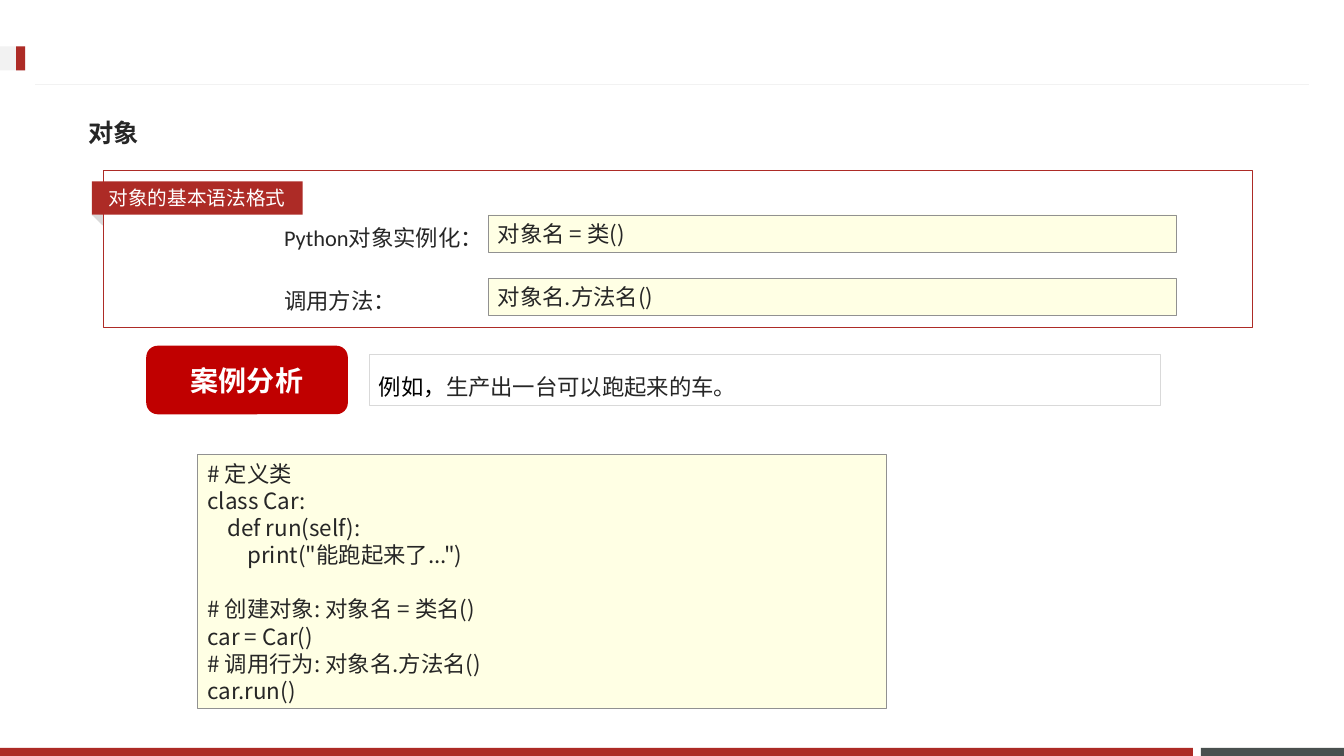
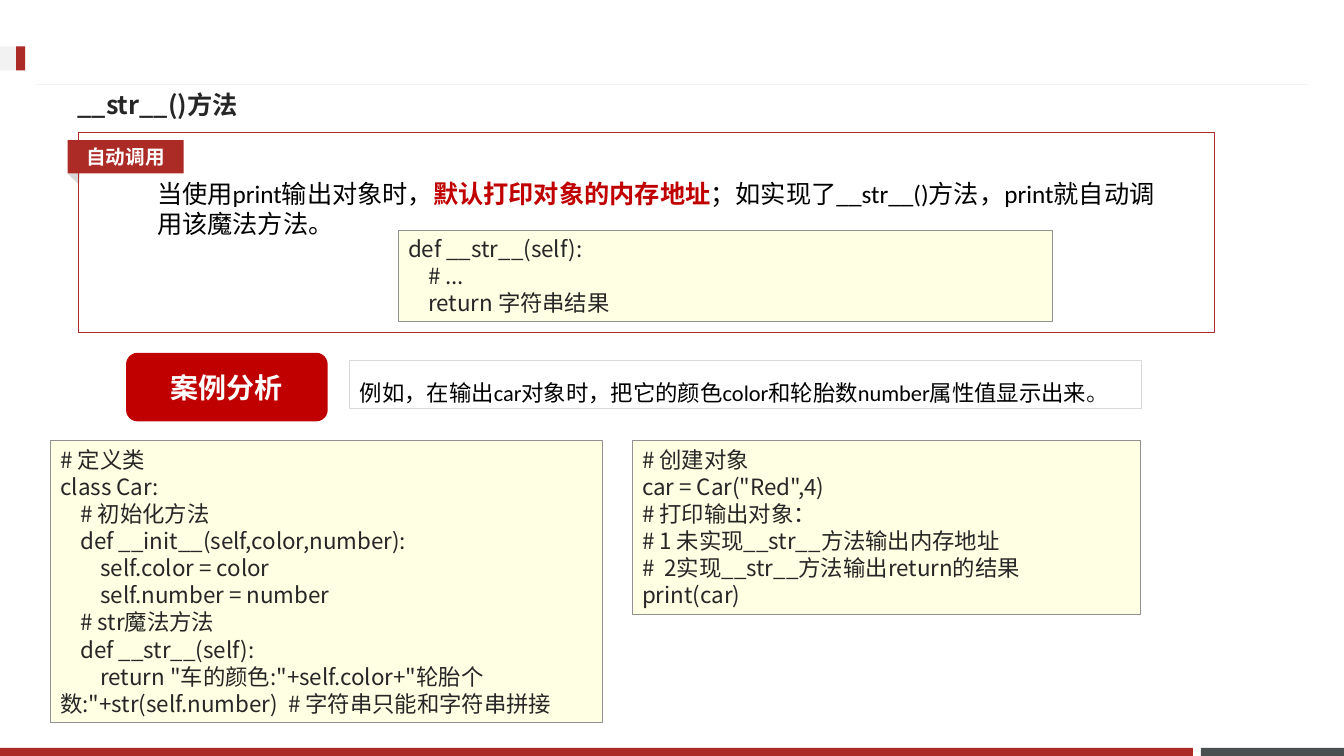
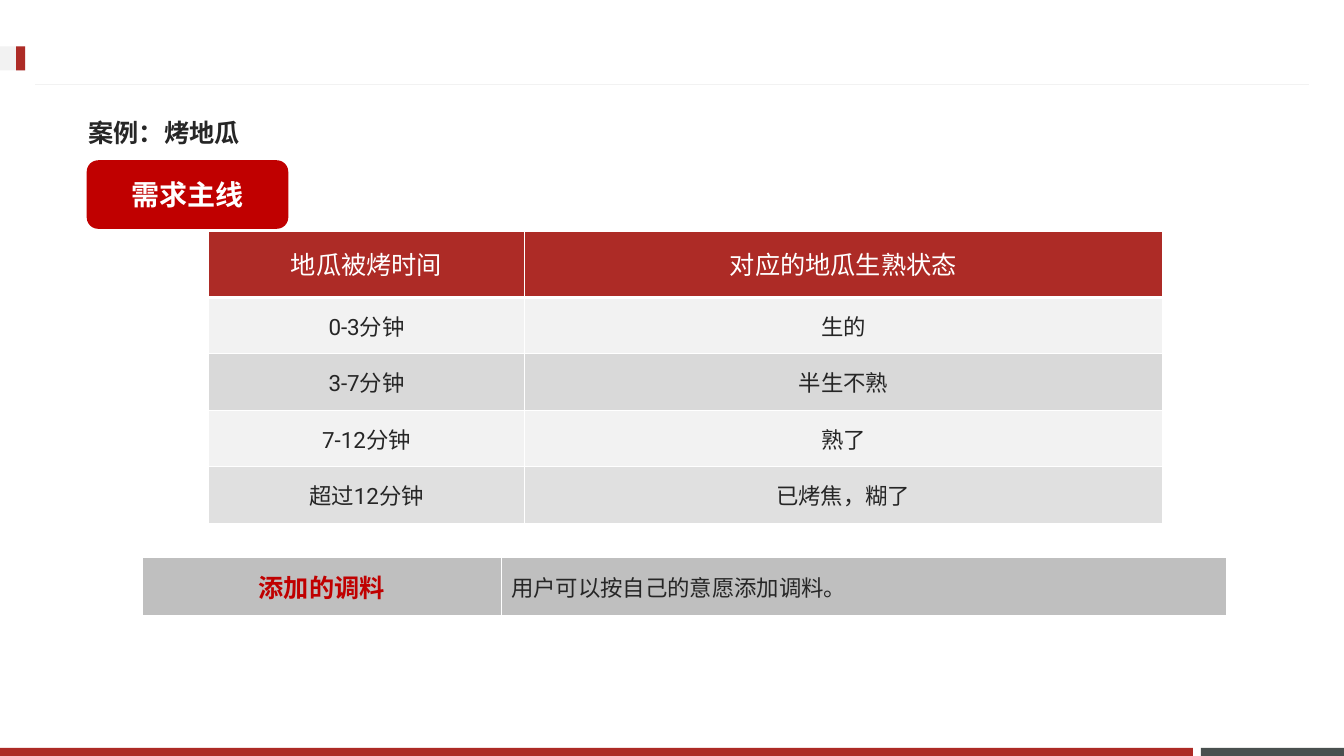
from lxml import etree
from pptx import Presentation
from pptx import util as u
from pptx.dml.color import RGBColor
from pptx.enum import shapes, text
from pptx.oxml.ns import qn

RED = RGBColor(0xAD, 0x2B, 0x26)
STRONG_RED = RGBColor(0xC0, 0x00, 0x00)
SLATE = RGBColor(0x49, 0x50, 0x4F)
INK = RGBColor(0x26, 0x26, 0x26)
BLACK = RGBColor(0x00, 0x00, 0x00)
WHITE = RGBColor(0xFF, 0xFF, 0xFF)
PALE = RGBColor(0xF2, 0xF2, 0xF2)
LIGHT = RGBColor(0xD9, 0xD9, 0xD9)
SOFT = RGBColor(0xE0, 0xE0, 0xE0)
SILVER = RGBColor(0xBF, 0xBF, 0xBF)
CREAM = RGBColor(0xFF, 0xFF, 0xE4)
GRAY = RGBColor(0x91, 0x91, 0x91)

CJK = "Noto Sans CJK JP"
RECT = shapes.MSO_SHAPE.RECTANGLE
ROUND = shapes.MSO_SHAPE.ROUNDED_RECTANGLE
TRIANGLE = shapes.MSO_SHAPE.ISOSCELES_TRIANGLE
TOP, MIDDLE = text.MSO_ANCHOR.TOP, text.MSO_ANCHOR.MIDDLE
LEFT, CENTER = text.PP_ALIGN.LEFT, text.PP_ALIGN.CENTER

prs = Presentation()
prs.slide_width = u.Inches(13.33)
prs.slide_height = u.Inches(7.5)
COL = prs.slide_width / 100
ROW = prs.slide_height / 100


def write(tf, content, size=16, font="Calibri", color=INK, bold=False,
          align=LEFT, spacing=None):
    paragraphs = content.split("\n") if isinstance(content, str) else [content]
    for i, runs in enumerate(paragraphs):
        p = tf.paragraphs[0] if i == 0 else tf.add_paragraph()
        p.alignment = align
        if spacing:
            p.line_spacing = u.Pt(spacing)
        if isinstance(runs, str):
            runs = [(runs, color, bold)]
        for words, run_color, run_bold in runs:
            r = p.add_run()
            r.text = words
            r.font.size = u.Pt(size)
            r.font.name = font
            r.font.bold = run_bold
            r.font.color.rgb = run_color
            ea = etree.SubElement(r.font._element, qn("a:ea"))
            ea.set("typeface", CJK)


def add(s, x, y, w, h, content=None, kind=RECT, fill=None, line=None,
        weight=0.75, anchor=TOP, **fmt):
    sp = s.shapes.add_shape(kind, int(x * COL), int(y * ROW), int(w * COL), int(h * ROW))
    sp.shadow.inherit = False
    if fill is None:
        sp.fill.background()
    else:
        sp.fill.solid()
        sp.fill.fore_color.rgb = fill
    if line is None:
        sp.line.fill.background()
    else:
        sp.line.color.rgb = line
        sp.line.width = u.Pt(weight)
    if content:
        tf = sp.text_frame
        tf.word_wrap = True
        tf.vertical_anchor = anchor
        write(tf, content, **fmt)
    return sp


CODE = dict(fill=CREAM, line=GRAY, weight=0.25, font=CJK, spacing=19.4)
TAG = dict(fill=RED, anchor=MIDDLE, align=CENTER, size=14, font="Roboto", color=WHITE)
BADGE = dict(kind=ROUND, fill=STRONG_RED, anchor=MIDDLE, align=CENTER,
             size=20, color=WHITE, bold=True)

titles = [
    ("对象", 5.85, 13.73),
    ("__str__()方法", 5.03, 10),
    ("案例：烤地瓜", 5.85, 13.73),
]
slides = []
for title, x, y in titles:
    s = prs.slides.add_slide(prs.slide_layouts[6])
    slides.append(s)
    add(s, 89.35, 98.93, 10.65, 1.07, fill=SLATE)
    add(s, 0, 98.93, 88.75, 1.07, fill=RED)
    add(s, 0, 6.13, 1.88, 3.2, fill=PALE)
    add(s, 1.2, 6.13, 0.68, 3.2, fill=RED)
    rule = s.shapes.add_connector(shapes.MSO_CONNECTOR.STRAIGHT, int(97.37 * COL),
                                  int(11.2 * ROW), int(2.63 * COL), int(11.2 * ROW))
    rule.line.color.rgb = PALE
    rule.line.width = u.Pt(0.75)
    etree.SubElement(rule._element.spPr, qn("a:effectLst"))
    add(s, x, y, 87.77, 7.6, title, anchor=MIDDLE, size=18, font=CJK, bold=True)
syntax, magic, potato = slides

panels = [
    (syntax, (6.9, 28.13), (7.73, 22.53, 85.45, 20.8),
     (6.83, 24, 15.68, 4.4), "对象的基本语法格式", False),
    (magic, (5.1, 22.67), (5.85, 17.47, 84.55, 26.53),
     (5.03, 18.53, 8.63, 4.4), "自动调用", True),
]
for s, fold, frame, tag, label, bold in panels:
    sp = add(s, *fold, 1.2, 1.2, kind=TRIANGLE, fill=LIGHT)
    sp.rotation = 44.2
    add(s, *frame, line=RED)
    add(s, *tag, label, bold=bold, **TAG)

for s, x, y, label in [
    (syntax, 10.88, 45.73, "案例分析"),
    (magic, 9.38, 46.67, "案例分析"),
    (potato, 6.45, 21.2, "需求主线"),
]:
    add(s, x, y, 15, 9.07, label, **BADGE)

for i, (label, form) in enumerate([
    ("Python对象实例化：", "对象名 = 类()"),
    ("调用方法：", "对象名.方法名()"),
]):
    add(syntax, 20.4, 27.2 + 8.3 * i, 18, 6.27, label, spacing=29)
    add(syntax, 36.31, 28.4 + 8.4 * i, 51.24, 4.93, form, **CODE)

add(syntax, 27.46, 46.93, 58.89, 6.67,
    [("例如，", BLACK, False), ("生产出一台可以跑起来的车。", INK, False)],
    line=LIGHT, spacing=29)
sp = add(syntax, 14.7, 60.13, 51.24, 33.6, """# 定义类
class Car:
    def run(self):
        print("能跑起来了...")
# 创建对象: 对象名 = 类名()
car = Car()
# 调用行为: 对象名.方法名()
car.run()""", **CODE)
sp.text_frame.paragraphs[4].space_before = u.Pt(19.4)

add(magic, 10.95, 22.93, 76.89, 9.47, [
    ("当使用print输出对象时，", BLACK, False),
    ("默认打印对象的内存地址", STRONG_RED, True),
    ("；如实现了__str__()方法，print就自动调用该魔法方法。", BLACK, False),
], size=18, spacing=21.5)
sp = add(magic, 26.03, 47.73, 58.89, 6.27, [
    ("例如，在输出car对象时，把它的颜色color和轮胎数number属性值显示出来", BLACK, False),
    ("。", INK, False),
], line=LIGHT, spacing=29)
sp.text_frame.margin_right = 0

add(magic, 29.63, 30.4, 48.69, 12.13, """def __str__(self):
    # ...
    return 字符串结果""", **CODE)
add(magic, 3.75, 58.27, 41.04, 37.2, """# 定义类
class Car:
    # 初始化方法
    def __init__(self,color,number):
        self.color = color
        self.number = number
    # str魔法方法
    def __str__(self):
        return "车的颜色:"+self.color+"轮胎个数:"+str(self.number)  # 字符串只能和字符串拼接""", **CODE)
add(magic, 47.04, 58.27, 37.81, 22.93, """# 创建对象
car = Car("Red",4)
# 打印输出对象：
# 1 未实现__str__方法输出内存地址
#  2实现__str__方法输出return的结果
print(car)""", **CODE)

HEAD = dict(size=18, color=WHITE, align=CENTER, spacing=24)
BODY = dict(align=CENTER)
tables = [
    (15.53, 30.67, [23.48, 47.49], [8.67] + [7.47] * 4, [
        (RED, [("地瓜被烤时间", HEAD), ("对应的地瓜生熟状态", HEAD)]),
        (PALE, [("0-3分钟", BODY), ("生的", BODY)]),
        (LIGHT, [("3-7分钟", BODY), ("半生不熟", BODY)]),
        (PALE, [("7-12分钟", BODY), ("熟了", BODY)]),
        (SOFT, [("超过12分钟", BODY), ("已烤焦，糊了", BODY)]),
    ]),
    (10.58, 73.73, [26.71, 54.01], [7.73], [
        (SILVER, [("添加的调料", dict(size=18, color=STRONG_RED, bold=True, align=CENTER)),
                  ("用户可以按自己的意愿添加调料。", {})]),
    ]),
]
for x, y, widths, heights, rows in tables:
    table = potato.shapes.add_table(
        len(heights), len(widths), int(x * COL), int(y * ROW),
        int(sum(widths) * COL), int(sum(heights) * ROW)).table
    for column, width in zip(table.columns, widths):
        column.width = int(width * COL)
    for i, (fill, cells) in enumerate(rows):
        table.rows[i].height = int(heights[i] * ROW)
        for j, (content, fmt) in enumerate(cells):
            cell = table.cell(i, j)
            cell.vertical_anchor = MIDDLE
            tcPr = cell._tc.get_or_add_tcPr()
            for side in "LRTB":
                thick = (fill == RED and side == "B") or (i == 1 and side == "T")
                ln = etree.SubElement(tcPr, qn("a:ln" + side), w=str(u.Pt(3 if thick else 1)))
                solid = etree.SubElement(ln, qn("a:solidFill"))
                etree.SubElement(solid, qn("a:srgbClr"), val=str(WHITE))
            cell.fill.solid()
            cell.fill.fore_color.rgb = fill
            write(cell.text_frame, content, font="Roboto", **fmt)

prs.save("out.pptx")
